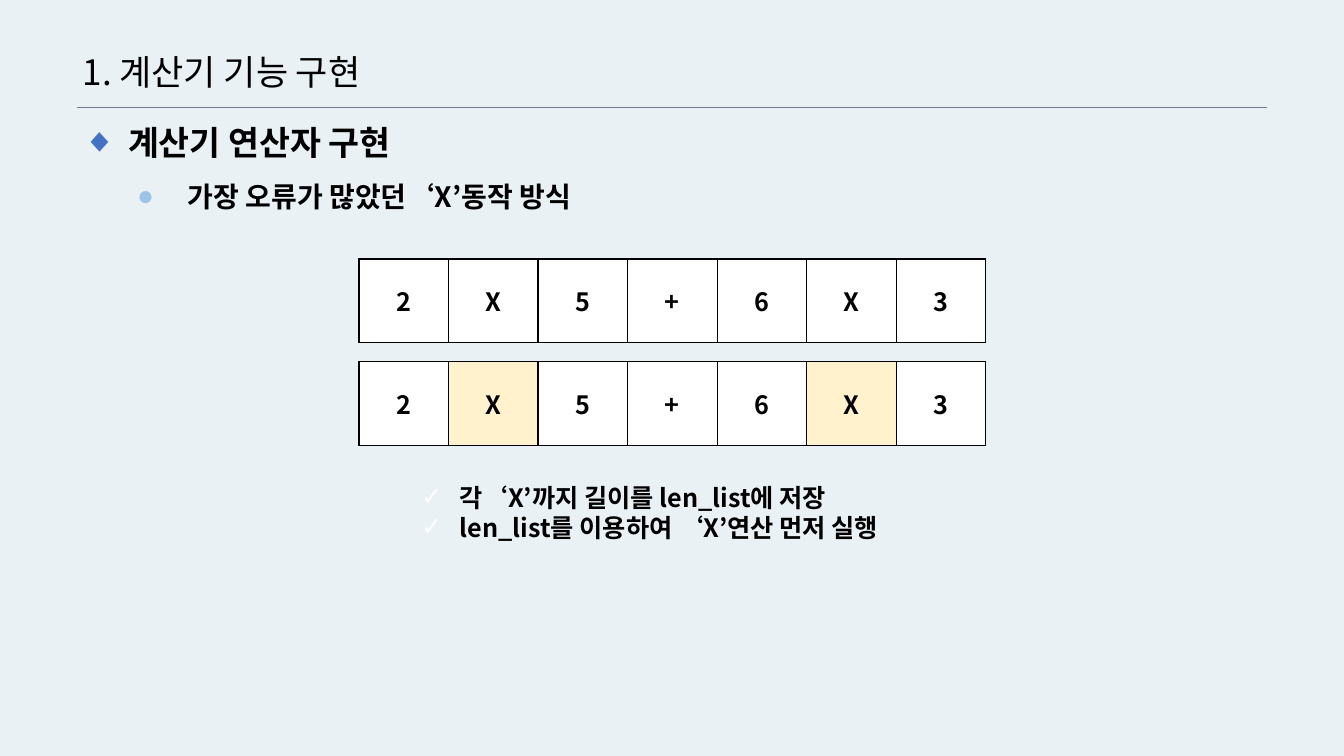
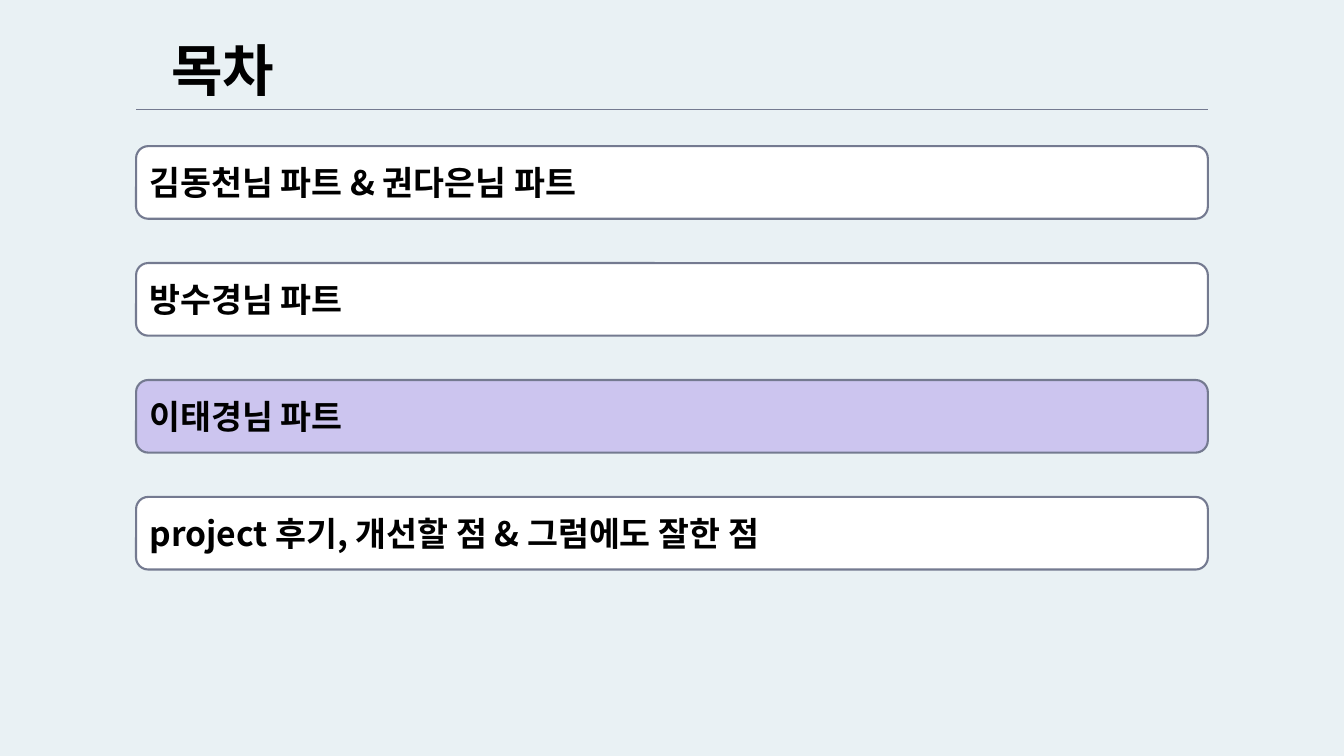
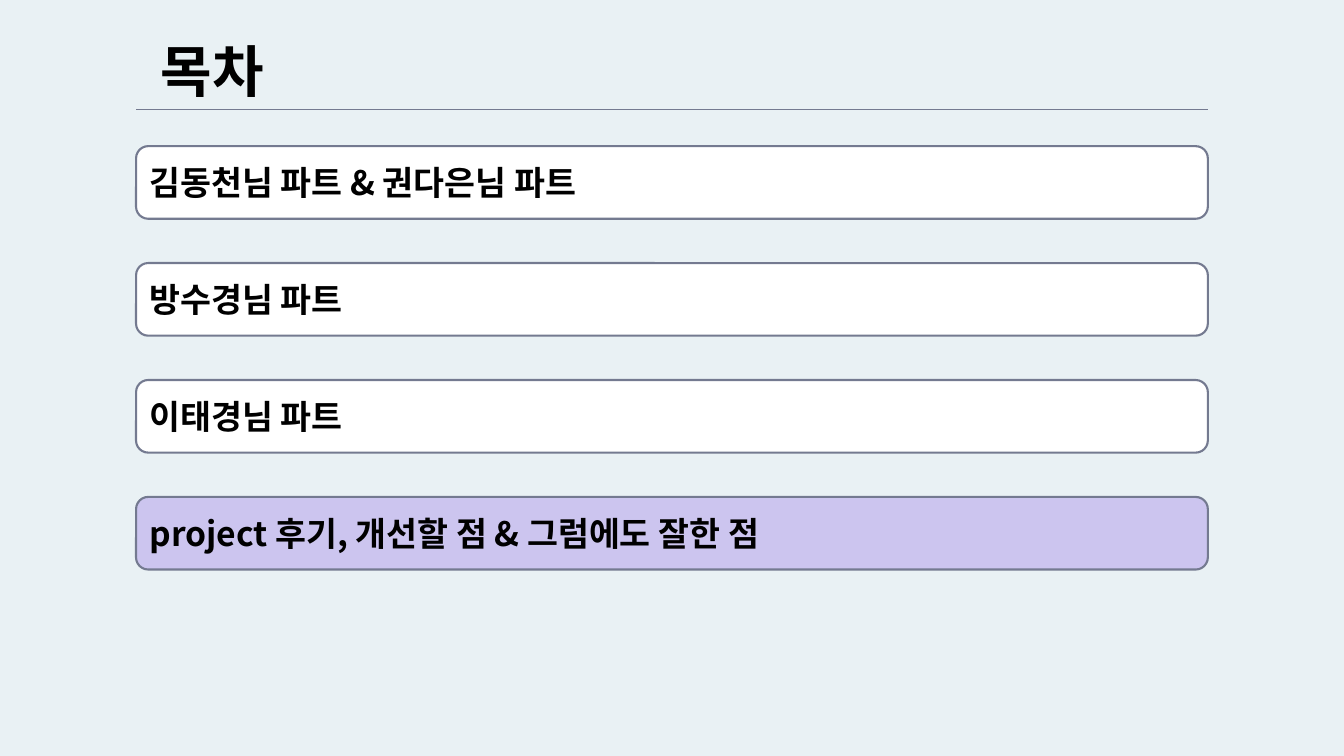
from dataclasses import dataclass

from lxml import etree
from pptx import Presentation
from pptx.dml.color import RGBColor
from pptx.enum import shapes, text
from pptx.oxml import ns
from pptx.util import Inches, Pt


@dataclass(frozen=True)
class Theme:
    font: str = "Noto Sans CJK KR"
    background: str = "E9F1F4"
    ink: str = "000000"
    rule: str = "747A90"
    paper: str = "FFFFFF"
    current: str = "CCC5EF"
    marked: str = "FFF2CC"
    diamond: str = "4472C4"
    dot: str = "9DC3E6"
    agenda_title: int = 40
    title: int = 25
    heading: int = 24
    point: int = 20
    small: int = 18


THEME = Theme()
LEFT, MIDDLE, TOP = text.PP_ALIGN.LEFT, text.MSO_ANCHOR.MIDDLE, text.MSO_ANCHOR.TOP
CENTER = text.PP_ALIGN.CENTER

AGENDA = [
    "김동천님 파트 & 권다은님 파트",
    "방수경님 파트",
    "이태경님 파트",
    "project 후기, 개선할 점 & 그럼에도 잘한 점",
]
FORMULA = "2X5+6X3"


def apply(target, values):
    for name, value in values.items():
        setattr(target, name, value)


def add_child(parent, tag, **attributes):
    return etree.SubElement(parent, ns.qn(tag), attributes)


def fill(target, color):
    target.fill.solid()
    target.fill.fore_color.rgb = RGBColor.from_string(color)


def set_line(line, width):
    line.color.rgb = RGBColor.from_string(THEME.rule)
    line.width = Pt(width)


def place(sp, left, top, width, height):
    box = dict(left=left, top=top, width=width, height=height)
    apply(sp, {name: Inches(value) for name, value in box.items()})


def write(p, words, size, bold=True, align=LEFT):
    apply(p, dict(alignment=align, space_before=Pt(0)))
    r = p.add_run()
    r.text = words
    apply(r.font, dict(size=Pt(size), bold=bold, name=THEME.font))
    r.font.color.rgb = RGBColor.from_string(THEME.ink)
    add_child(r.font._element, "a:ea", typeface=THEME.font)


def set_bullet(p, char, color, margin, hang):
    pPr = p._p.get_or_add_pPr()
    pPr.set("marL", str(Inches(margin)))
    pPr.set("indent", str(-Inches(hang)))
    add_child(add_child(pPr, "a:buClr"), "a:srgbClr", val=color)
    add_child(pPr, "a:buChar", char=char)


def set_title(slide, words, box, size, bold=True, align=CENTER, wrap=True):
    sp = slide.shapes.title
    place(sp, *box)
    tf = sp.text_frame
    apply(tf, dict(vertical_anchor=MIDDLE, word_wrap=wrap,
                   auto_size=text.MSO_AUTO_SIZE.NONE))
    write(tf.paragraphs[0], words, size, bold, align)


def fill_list(sp, box, items):
    """Fill a body placeholder from (words, size, line spacing, bullet) items."""
    place(sp, *box)
    tf = sp.text_frame
    apply(tf, dict(vertical_anchor=TOP, word_wrap=True,
                   auto_size=text.MSO_AUTO_SIZE.NONE))
    for i, (words, size, spacing, bullet) in enumerate(items):
        p = tf.add_paragraph() if i else tf.paragraphs[0]
        p.line_spacing = spacing
        write(p, words, size)
        set_bullet(p, *bullet)


def add_rule(slide, left, right, y):
    line = slide.shapes.add_connector(
        shapes.MSO_CONNECTOR.STRAIGHT, *map(Inches, (right, y, left, y)))
    set_line(line.line, 0.5)
    add_child(line._element.spPr, "a:effectLst")


def set_borders(cell):
    tcPr = cell._tc.get_or_add_tcPr()
    for i, side in enumerate("LRTB"):
        ln = etree.Element(ns.qn(f"a:ln{side}"), w=str(Pt(1)))
        add_child(add_child(ln, "a:solidFill"), "a:srgbClr", val=THEME.ink)
        tcPr.insert(i, ln)


def add_formula(slide, top, marked=""):
    """Draw the formula one character a cell, tinting the marked characters."""
    table = slide.shapes.add_table(
        1, len(FORMULA), *map(Inches, (3.56, top, 6.22, 0.83))).table
    apply(table, dict(first_row=False, horz_banding=False))
    for cell, char in zip(table.iter_cells(), FORMULA):
        fill(cell, THEME.marked if char in marked else THEME.paper)
        set_borders(cell)
        cell.vertical_anchor = MIDDLE
        write(cell.text_frame.paragraphs[0], char, THEME.small, align=CENTER)


def add_agenda_row(slide, words, top, color):
    sp = slide.shapes.add_shape(
        shapes.MSO_SHAPE.ROUNDED_RECTANGLE, *map(Inches, (1.35, top, 10.63, 0.72)))
    sp.shadow.inherit = False
    fill(sp, color)
    set_line(sp.line, 1.5)
    tf = sp.text_frame
    apply(tf, dict(vertical_anchor=MIDDLE, word_wrap=True))
    write(tf.paragraphs[0], words, THEME.heading)


def add_operator_slide(prs):
    slide = prs.slides.add_slide(prs.slide_layouts.get_by_name("Two Content"))
    add_rule(slide, 0.76, 12.57, 1.07)
    set_title(slide, "1. 계산기 기능 구현", (0.72, 0.45, 3.09, 0.51),
              THEME.title, bold=False, align=LEFT, wrap=False)
    diamond = ("◆", THEME.diamond, 0.45, 0.45)
    dot = ("●", THEME.dot, 1.04, 0.5)
    check = ("✓", THEME.paper, 0.38, 0.38)
    topics, steps = list(slide.placeholders)[1:3]
    fill_list(topics, (0.72, 1.16, 10.06, 1.2), [
        ("계산기 연산자 구현", THEME.heading, 1.0, diamond),
        ("가장 오류가 많았던‘X’동작 방식", THEME.point, 1.5, dot),
    ])
    add_formula(slide, 2.57)
    add_formula(slide, 3.59, marked="X")
    fill_list(steps, (4.08, 4.73, 5.18, 0.99), [
        ("각‘X’까지 길이를 len_list에 저장", THEME.small, 1.0, check),
        ("len_list를 이용하여 ‘X’연산 먼저 실행", THEME.small, 1.0, check),
    ])


def add_agenda_slide(prs, current, title_box):
    slide = prs.slides.add_slide(prs.slide_layouts.get_by_name("Title Only"))
    set_title(slide, "목차", title_box, THEME.agenda_title)
    add_rule(slide, 1.35, 11.98, 1.09)
    for i, words in enumerate(AGENDA):
        color = THEME.current if i == current else THEME.paper
        add_agenda_row(slide, words, 1.45 + 1.16 * i, color)


def main():
    prs = Presentation()
    apply(prs, dict(slide_width=Inches(13.33), slide_height=Inches(7.5)))
    fill(prs.slide_master.background, THEME.background)
    add_operator_slide(prs)
    add_agenda_slide(prs, 2, (1.35, 0.31, 1.72, 0.76))
    add_agenda_slide(prs, 3, (1.17, 0.32, 1.87, 0.76))
    prs.save("out.pptx")


if __name__ == "__main__":
    main()
